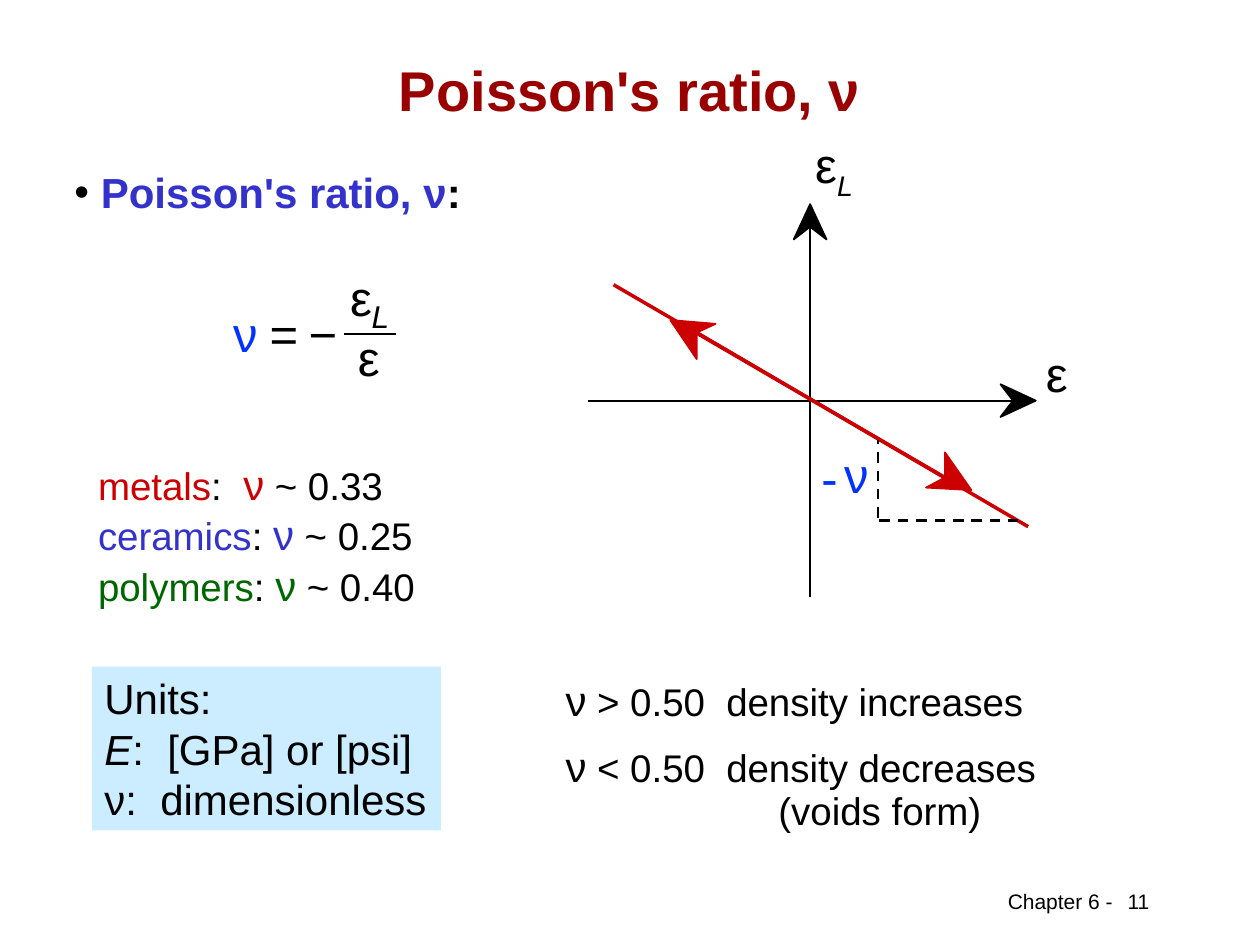
from lxml import etree
from pptx import Presentation
from pptx.dml.color import RGBColor
from pptx.enum.dml import MSO_LINE
from pptx.enum.shapes import MSO_CONNECTOR, MSO_SHAPE
from pptx.enum.text import MSO_ANCHOR, MSO_AUTO_SIZE, PP_ALIGN
from pptx.oxml.ns import qn
from pptx.util import Inches, Pt

INK = {"black": "000000", "title": "990000", "red": "CC0000", "blue": "3333CC",
       "nu": "0033FF", "green": "006600", "pale": "CCECFF"}
RGB = {name: RGBColor.from_string(code) for name, code in INK.items()}

prs = Presentation()
prs.slide_width, prs.slide_height = Inches(10), Inches(7.5)
slide = prs.slides.add_slide(prs.slide_layouts[1])
shapes = slide.shapes


def place(shape, spot):
    shape.left, shape.top, shape.width, shape.height = map(Inches, spot)


def write(shape, rows, size, wrap=True, inset=True):
    frame = shape.text_frame
    frame.word_wrap = wrap
    frame.auto_size = MSO_AUTO_SIZE.NONE
    frame.vertical_anchor = MSO_ANCHOR.TOP
    if not inset:
        frame.margin_left = frame.margin_right = 0
        frame.margin_top = frame.margin_bottom = 0
    for i, row in enumerate(rows):
        para = frame.add_paragraph() if i else frame.paragraphs[0]
        para.alignment = PP_ALIGN.LEFT
        para.space_before = Pt(0)
        para.font.name = "Arial"
        para.font.size = Pt(size)
        for text, tone, *more in row:
            run = para.add_run()
            run.text = text
            run.font.color.rgb = RGB[tone]
            if more:
                run.font.size = Pt(more[0])
    return frame.paragraphs


title = shapes.title
place(title, (0.75, 0.42, 8.5, 0.58))
head = write(title, [[("Poisson's ratio, ν", "title")]], 32)[0]
head.alignment = PP_ALIGN.CENTER
head.font.bold = True
title.text_frame.vertical_anchor = MSO_ANCHOR.MIDDLE

body = slide.placeholders[1]
place(body, (0.59, 1.32, 4.58, 0.4))
topic = write(body, [[("Poisson's ratio, ν", "blue"), (":", "black")]], 24, inset=False)[0]
props = topic._p.get_or_add_pPr()
props.set("marL", str(Inches(0.21)))
props.set("indent", str(Inches(-0.21)))
tint = etree.SubElement(props, qn("a:buClr"))
etree.SubElement(tint, qn("a:srgbClr")).set("val", INK["black"])
etree.SubElement(props, qn("a:buFont")).set("typeface", "Arial")
etree.SubElement(props, qn("a:buChar")).set("char", "•")
topic.font.bold = True

units = shapes.add_shape(MSO_SHAPE.RECTANGLE, *map(Inches, (0.73, 5.29, 2.77, 1.3)))
units.shadow.inherit = False
units.fill.solid()
units.fill.fore_color.rgb = RGB["pale"]
units.line.fill.background()
rows = write(units, [[("Units:", "black")],
                     [("E", "black"), (":  [GPa] or [psi]", "black")],
                     [("ν:  dimensionless", "black")]], 24, wrap=False)
rows[1].runs[0].font.italic = True

metals = shapes.add_textbox(*map(Inches, (0.68, 3.59, 3.43, 1.3)))
write(metals, [[(name, tone), (gap, "black"), ("ν", tone, 24), (value, "black")]
               for name, tone, gap, value in (("metals", "red", ":  ", " ~ 0.33"),
                                              ("ceramics", "blue", ": ", " ~ 0.25"),
                                              ("polymers", "green", ": ", " ~ 0.40"))], 22)

notes = shapes.add_textbox(*map(Inches, (3.89, 5.35, 5.67, 1.35)))
rows = write(notes, [[("ν", "black", 24), (" > 0.50  density increases", "black")],
                     [("ν", "black", 24), (" < 0.50  density decreases", "black")],
                     [("(voids form)", "black")]], 22)
for para, left in zip(rows, (0.5, 0.5, 2.19)):
    para._p.get_or_add_pPr().set("marL", str(Inches(left)))
    para.line_spacing = 0.9
rows[1].space_before = Pt(12)

for tone, points in (
    ("black", [(6.43, 1.62), (6.56, 1.9), (6.43, 1.8), (6.3, 1.9)]),
    ("black", [(8.22, 3.18), (7.94, 3.31), (8.04, 3.18), (7.94, 3.05)]),
    ("red", [(7.71, 3.89), (7.35, 3.87), (7.5, 3.79), (7.5, 3.59)]),
    ("red", [(5.32, 2.54), (5.68, 2.57), (5.53, 2.64), (5.53, 2.85)]),
):
    points = [(Inches(x), Inches(y)) for x, y in points]
    pen = shapes.build_freeform(*points[0])
    pen.add_line_segments(points[1:], close=True)
    tip = pen.convert_to_shape()
    tip.shadow.inherit = False
    tip.fill.solid()
    tip.fill.fore_color.rgb = RGB[tone]
    tip.line.color.rgb = RGB[tone]
    tip.line.width = Pt(1)

for ends, tone, width, dash in (
    ((6.43, 4.74, 6.43, 1.8), "black", 1, None),
    ((4.67, 3.18, 8.04, 3.18), "black", 1, None),
    ((4.87, 2.26, 7.5, 3.79), "red", 2, None),
    ((5.53, 2.64, 8.16, 4.18), "red", 2, None),
    ((6.98, 4.13, 8.08, 4.13), "black", 1.5, MSO_LINE.DASH),
    ((6.97, 4.11, 6.97, 3.49), "black", 1.5, MSO_LINE.DASH),
    ((2.73, 2.65, 3.14, 2.65), "black", 1, None),
):
    line = shapes.add_connector(MSO_CONNECTOR.STRAIGHT, *map(Inches, ends))
    line.line.color.rgb = RGB[tone]
    line.line.width = Pt(width)
    if dash:
        line.line.dash_style = dash
    etree.SubElement(line._element.spPr, qn("a:effectLst"))

for text, left, top, width, tone in (
    ("ε", 8.3, 2.73, 0.17, "black"),
    ("-", 6.52, 3.55, 0.13, "nu"),
    ("ν", 6.7, 3.53, 0.2, "nu"),
    ("ε", 2.78, 2.12, 0.17, "black"),
    ("ν", 1.85, 2.41, 0.2, "nu"),
    ("=", 2.14, 2.41, 0.21, "black"),
    ("−", 2.45, 2.41, 0.21, "black"),
    ("ε", 2.84, 2.6, 0.17, "black"),
):
    label = shapes.add_textbox(*map(Inches, (left, top, width, 0.47)))
    write(label, [[(text, tone)]], 28, wrap=False, inset=False)

axis = shapes.add_textbox(*map(Inches, (6.47, 1.07, 0.32, 0.47)))
sub = write(axis, [[("ε", "black"), ("L", "black")]], 28, wrap=False, inset=False)[0].runs[1]
sub.font.italic = True
sub._r.get_or_add_rPr().set("baseline", "-25000")

index = shapes.add_textbox(*map(Inches, (2.95, 2.36, 0.14, 0.3)))
write(index, [[("L", "black")]], 18, wrap=False, inset=False)[0].font.italic = True

foot = shapes.add_textbox(*map(Inches, (7.9, 7, 1.03, 0.3)))
write(foot, [[("Chapter 6 -", "black")]], 12, wrap=False)
page = shapes.add_textbox(*map(Inches, (8.39, 7, 1.29, 0.39)))
write(page, [[("11", "black")]], 12)[0].alignment = PP_ALIGN.CENTER

prs.save("out.pptx")
